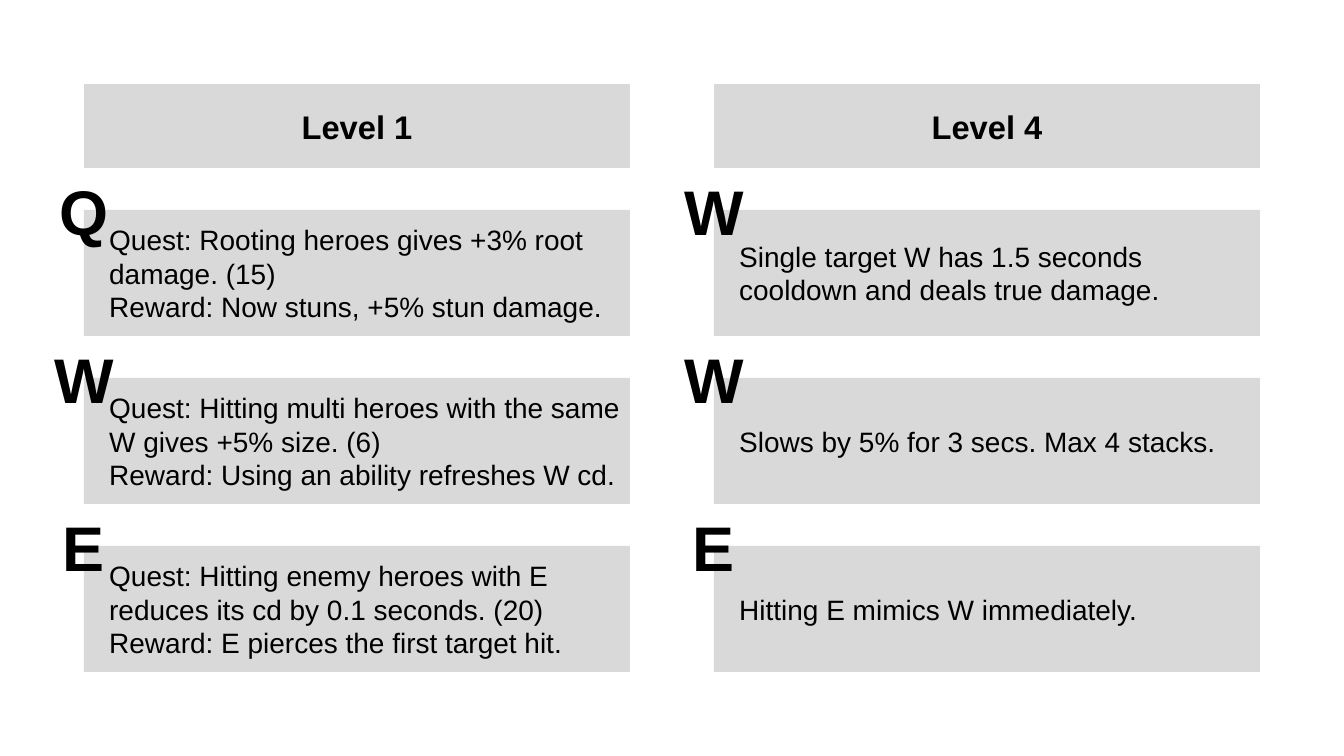
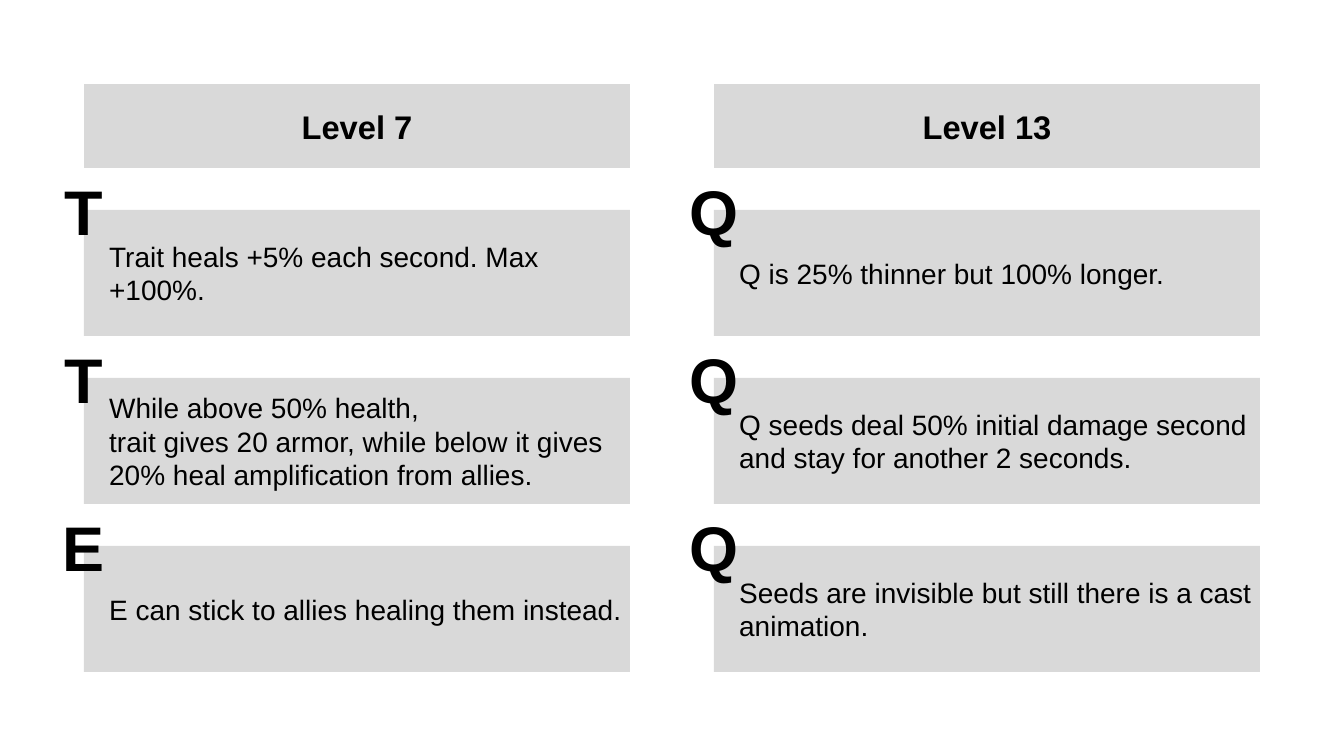
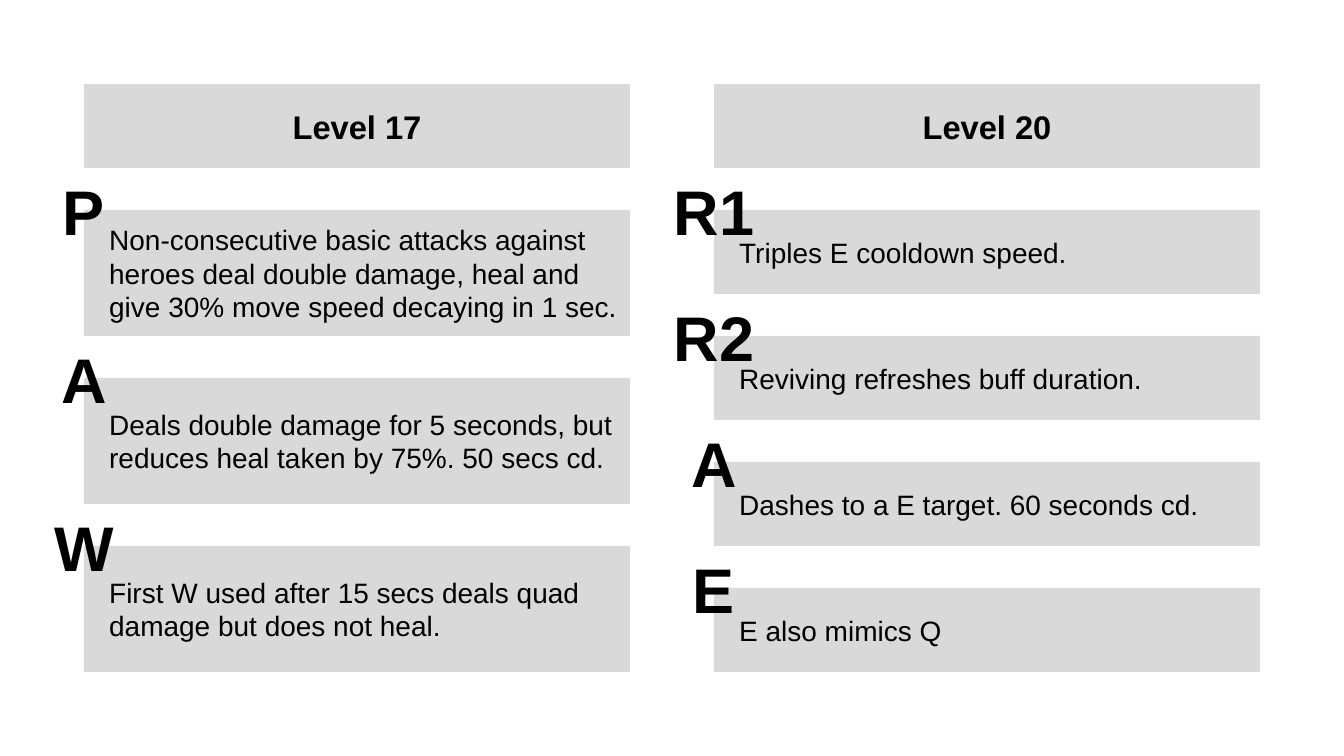
from pptx import Presentation
from pptx.dml.color import RGBColor
from pptx.enum.shapes import MSO_SHAPE
from pptx.enum.text import MSO_ANCHOR, MSO_AUTO_SIZE, PP_ALIGN
from pptx.util import Inches, Pt

RECT = MSO_SHAPE.RECTANGLE
MID = MSO_ANCHOR.MIDDLE
LEFT, CENTER = PP_ALIGN.LEFT, PP_ALIGN.CENTER
FIXED = MSO_AUTO_SIZE.NONE

FONT, INK, GREY = "Arial", "000000", "D9D9D9"
COLS = (1, 8.5)
WIDE = 6.5
HEAD = 1
TOP, END, GAP = 2.5, 8, 0.5

SLIDES = [
    [
        ("Level 1", [
            ("Q", ["Quest: Rooting heroes gives +3% root damage. (15)",
                   "Reward: Now stuns, +5% stun damage."]),
            ("W", ["Quest: Hitting multi heroes with the same W gives +5% size. (6)",
                   "Reward: Using an ability refreshes W cd."]),
            ("E", ["Quest: Hitting enemy heroes with E reduces its cd by 0.1 seconds. (20)",
                   "Reward: E pierces the first target hit."]),
        ]),
        ("Level 4", [
            ("W", ["Single target W has 1.5 seconds cooldown and deals true damage."]),
            ("W", ["Slows by 5% for 3 secs. Max 4 stacks."]),
            ("E", ["Hitting E mimics W immediately."]),
        ]),
    ],
    [
        ("Level 7", [
            ("T", ["Trait heals +5% each second. Max +100%."]),
            ("T", ["While above 50% health,",
                   "trait gives 20 armor, while below it gives 20% heal amplification from allies."]),
            ("E", ["E can stick to allies healing them instead."]),
        ]),
        ("Level 13", [
            ("Q", ["Q is 25% thinner but 100% longer."]),
            ("Q", ["Q seeds deal 50% initial damage second and stay for another 2 seconds."]),
            ("Q", ["Seeds are invisible but still there is a cast animation."]),
        ]),
    ],
    [
        ("Level 17", [
            ("P", ["Non-consecutive basic attacks against heroes deal double damage, "
                   "heal and give 30% move speed decaying in 1 sec."]),
            ("A", ["Deals double damage for 5 seconds, but reduces heal taken by 75%. 50 secs cd."]),
            ("W", ["First W used after 15 secs deals quad damage but does not heal."]),
        ]),
        ("Level 20", [
            ("R1", ["Triples E cooldown speed."]),
            ("R2", ["Reviving refreshes buff duration."]),
            ("A", ["Dashes to a E target. 60 seconds cd."]),
            ("E", ["E also mimics Q"]),
        ]),
    ],
]


def color(code):
    return RGBColor.from_string(code)


def paint(shape):
    shape.fill.solid()
    shape.fill.fore_color.rgb = color(GREY)
    shape.line.fill.background()


def write(shape, lines, size=24, bold=False, align=CENTER, inset=0.1):
    frame = shape.text_frame
    frame.word_wrap = True
    frame.auto_size = FIXED
    frame.vertical_anchor = MID
    frame.margin_left = Inches(inset)
    frame.text = "\n".join(lines)
    for para in frame.paragraphs:
        para.alignment = align
        para.space_before = Pt(0)
        font = para.runs[0].font
        font.name, font.size, font.bold = FONT, Pt(size), bold
        font.color.rgb = color(INK)


def add_head(shape, x, text):
    shape.left, shape.top = Inches(x), Inches(HEAD)
    shape.width, shape.height = Inches(WIDE), Inches(HEAD)
    paint(shape)
    write(shape, [text], size=28, bold=True)


def add_card(slide, x, y, high, key, lines):
    card = slide.shapes.add_shape(RECT, Inches(x), Inches(y), Inches(WIDE), Inches(high))
    card.shadow.inherit = False
    paint(card)
    write(card, lines, align=LEFT, inset=0.3)
    span = len(key)
    mark = slide.shapes.add_textbox(
        Inches(x - span / 2), Inches(y - 0.5), Inches(span), Inches(1))
    write(mark, [key], size=54, bold=True)


def add_slide(deck, cols):
    slide = deck.slides.add_slide(deck.slide_layouts.get_by_name("Comparison"))
    slots = {s.placeholder_format.idx: s for s in slide.placeholders}
    heads = [slots.pop(1), slots.pop(3)]
    for spare in slots.values():
        spare.element.getparent().remove(spare.element)
    for x, head, (title, cards) in zip(COLS, heads, cols):
        add_head(head, x, title)
        step = (END + GAP - TOP) / len(cards)
        for i, (key, lines) in enumerate(cards):
            add_card(slide, x, TOP + i * step, step - GAP, key, lines)


def main():
    deck = Presentation()
    deck.slide_width, deck.slide_height = Inches(16), Inches(9)
    for cols in SLIDES:
        add_slide(deck, cols)
    deck.save("out.pptx")


if __name__ == "__main__":
    main()
